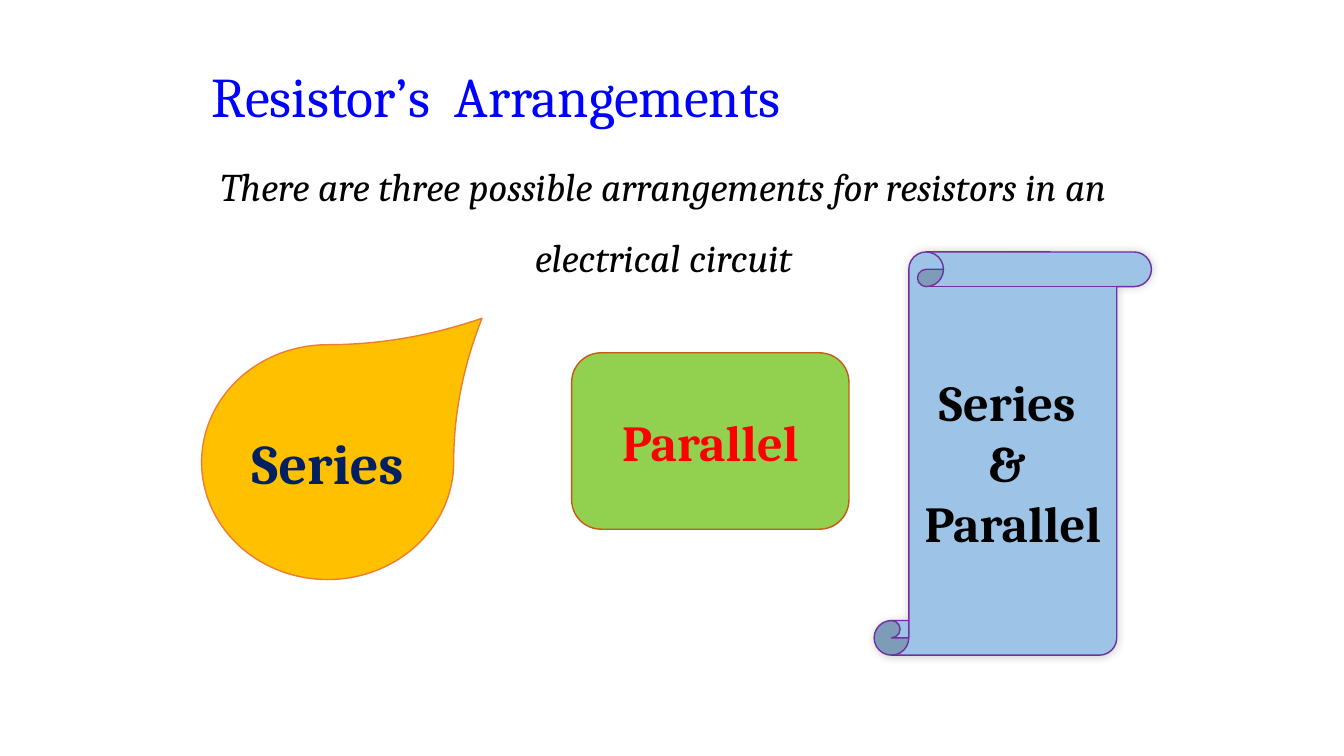
from lxml import etree
from pptx import Presentation
from pptx.dml.color import RGBColor
from pptx.enum.shapes import MSO_SHAPE
from pptx.enum.text import MSO_ANCHOR, MSO_AUTO_SIZE, PP_ALIGN
from pptx.oxml import parse_xml
from pptx.oxml.ns import nsdecls, qn
from pptx.util import Inches, Pt

LEFT, CENTER = PP_ALIGN.LEFT, PP_ALIGN.CENTER
TOP, MIDDLE = MSO_ANCHOR.TOP, MSO_ANCHOR.MIDDLE
DROP, ROUND, SCROLL = MSO_SHAPE.TEAR, MSO_SHAPE.ROUNDED_RECTANGLE, MSO_SHAPE.VERTICAL_SCROLL
FIXED = MSO_AUTO_SIZE.NONE
COLORS = {
    "blue": "0000FF", "black": "000000", "navy": "002060", "red": "FF0000",
    "gold": "FFC000", "orange": "ED7D31", "green": "92D050", "rust": "C55A11",
    "sky": "9DC3E6", "purple": "7030A0",
}


def write(text, shape, size, color, bold=False, italic=False,
          align=CENTER, anchor=MIDDLE, wrap=True, spacing=1.0):
    frame = shape.text_frame
    frame.text = text
    frame.auto_size = FIXED
    frame.word_wrap = wrap
    frame.vertical_anchor = anchor
    for para in frame.paragraphs:
        para.alignment = align
        para.line_spacing = spacing
        para.space_before = Pt(0)
        font = para.runs[0].font
        font.name = "Cambria"
        font.size = Pt(size)
        font.bold = bold
        font.italic = italic
        font.color.rgb = RGBColor.from_string(COLORS[color])


def place(shape, left, top, width, height):
    shape.left, shape.top = Inches(left), Inches(top)
    shape.width, shape.height = Inches(width), Inches(height)


deck = Presentation()
deck.slide_width, deck.slide_height = Inches(13.33), Inches(7.5)
slide = deck.slides.add_slide(deck.slide_layouts[1])

title = slide.shapes.title
place(title, 2, 0.56, 6.2, 0.77)
write("Resistor’s  Arrangements", title, size=40, color="blue",
      align=LEFT, anchor=TOP, wrap=False)

body = slide.placeholders[1]
place(body, 1.83, 1.33, 9.5, 1.51)
write("There are three possible arrangements for resistors in an electrical circuit",
      body, size=28, color="black", italic=True, anchor=TOP, spacing=1.5)
props = body.text_frame.paragraphs[0]._p.get_or_add_pPr()
props.set("marL", "0")
props.set("indent", "0")
etree.SubElement(props, qn("a:buNone"))

cards = [
    (DROP, (2, 3.42, 2.5, 2.33), "gold", "orange", "Series", 40, "navy"),
    (ROUND, (5.67, 3.5, 2.75, 1.75), "green", "rust", "Parallel", 36, "red"),
    (SCROLL, (8.67, 2.5, 2.75, 4), "sky", "purple", "Series \n& \nParallel", 36, "black"),
]
for kind, box, fill, line, text, size, color in cards:
    card = slide.shapes.add_shape(kind, *map(Inches, box))
    card.shadow.inherit = False
    card.fill.solid()
    card.fill.fore_color.rgb = RGBColor.from_string(COLORS[fill])
    card.line.color.rgb = RGBColor.from_string(COLORS[line])
    card.line.width = Pt(1)
    write(text, card, size=size, color=color, bold=True)
    if kind == DROP:
        card.adjustments[0] = 1.225
    if kind == SCROLL:
        effects = card._element.spPr.find(qn("a:effectLst"))
        effects.append(parse_xml(
            f'<a:outerShdw {nsdecls("a")} blurRad="{Pt(6)}" dist="0" dir="{225 * 60000}">'
            f'<a:srgbClr val="{COLORS["black"]}"><a:alpha val="20000"/></a:srgbClr>'
            '</a:outerShdw>'))

deck.save("out.pptx")
